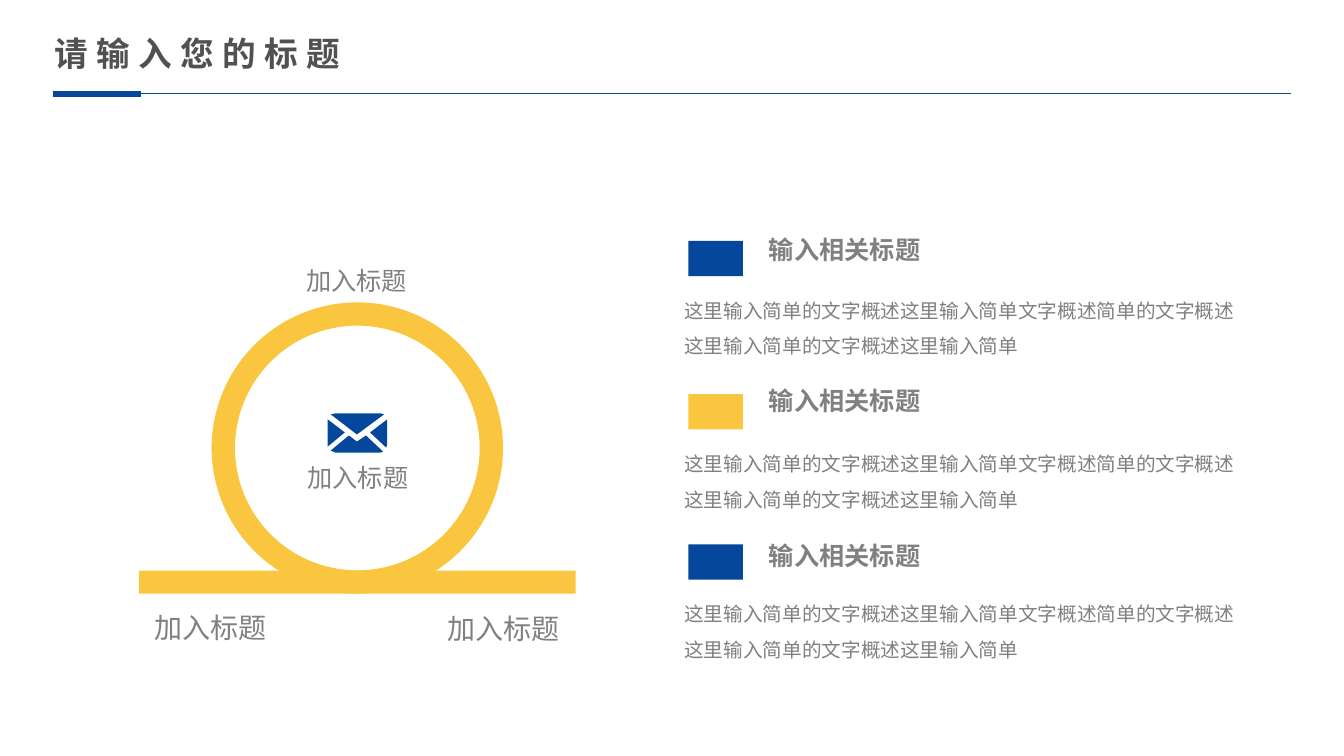
import pptx
import pptx.util
import pptx.dml.color
import pptx.enum.shapes
import pptx.enum.text
import pptx.oxml.ns
from lxml import etree

FONT = "Noto Sans CJK SC"
BLUE, GOLD, GREY, DARK = "05489B", "FBC63F", "808080", "515151"
WIDE, HIGH = pptx.util.Inches(13.33), pptx.util.Inches(7.5)
KIND = pptx.enum.shapes.MSO_SHAPE
ALIGN = pptx.enum.text.PP_ALIGN
ANCHOR = pptx.enum.text.MSO_ANCHOR

LABEL = "加入标题"
HEAD = "输入相关标题"
BODY = "这里输入简单的文字概述这里输入简单文字概述简单的文字概述这里输入简单的文字概述这里输入简单"

# Swatch top, heading top, colour
ITEMS = [(31.87, 30.4, BLUE), (52.13, 50.27, GOLD), (72, 70.8, BLUE)]

# Left, top, width, height, text size
LABELS = [
    (10.35, 80.93, 10.65, 3.73, 20),
    (30.53, 80.4, 13.88, 4.93, 20),
    (21.22, 35.07, 10.65, 3.73, 18),
    (21.3, 61.07, 10.65, 3.73, 18),
]

# Envelope parts in hundredths of an inch: flap, right, base, left
MAIL = [
    [(3, 1), (8, 0), (52, 0), (56, 1), (29, 21)],
    [(59, 6), (42, 19), (58, 34), (59, 31)],
    [(55, 38), (52, 39), (8, 39), (3, 37), (21, 22), (29, 28), (38, 22)],
    [(0, 33), (17, 19), (0, 6)],
]


def across(share):
    """Turn a percentage of the slide's width into a length."""
    return round(WIDE * share / 100)


def down(share):
    """Turn a percentage of the slide's height into a length."""
    return round(HIGH * share / 100)


def place(left, top, width, height):
    return across(left), down(top), across(width), down(height)


def paint(color, code):
    color.rgb = pptx.dml.color.RGBColor.from_string(code)


def fill(shape, code):
    shape.shadow.inherit = False
    shape.fill.solid()
    paint(shape.fill.fore_color, code)
    shape.line.fill.background()


def block(slide, kind, spot, code):
    shape = slide.shapes.add_shape(kind, *place(*spot))
    fill(shape, code)
    return shape


def write(frame, text, size, code=GREY, bold=False):
    frame.text = text
    frame.word_wrap = True
    para = frame.paragraphs[0]
    run = para.runs[0]
    run.font.size = pptx.util.Pt(size)
    run.font.name = FONT
    run.font.bold = bold
    paint(run.font.color, code)
    props = run.font._element
    etree.SubElement(props, pptx.oxml.ns.qn("a:ea"), typeface=FONT)
    return para


def note(slide, spot, text, size, bold=False):
    box = slide.shapes.add_textbox(*place(*spot))
    return box.text_frame, write(box.text_frame, text, size, bold=bold)


def label(slide, spot, size):
    frame, para = note(slide, spot, LABEL, size)
    frame.margin_left = frame.margin_right = 0
    frame.margin_top = frame.margin_bottom = 0
    frame.vertical_anchor = ANCHOR.MIDDLE
    para.alignment = ALIGN.CENTER
    para.line_spacing = 1.1


def item(slide, top, head, code):
    """Draw a swatch with its heading and summary."""
    block(slide, KIND.RECTANGLE, (51.22, top, 4.05, 4.67), code)
    para = note(slide, (50.18, top + 5.47, 42.98, 10.27), BODY, 14)[1]
    para.line_spacing = 1.5
    note(slide, (56.48, head, 22.8, 5.33), HEAD, 18, bold=True)


def rule(slide, start, end, weight):
    line = slide.shapes.add_connector(
        pptx.enum.shapes.MSO_CONNECTOR.STRAIGHT,
        across(start), down(12.4), across(end), down(12.4))
    paint(line.line.color, BLUE)
    line.line.width = pptx.util.Pt(weight)
    etree.SubElement(line._element.spPr, pptx.oxml.ns.qn("a:effectLst"))


def title(slide, text):
    shape = slide.shapes.title
    shape.left, shape.top, shape.width, shape.height = place(3.3, 3.73, 26.25, 6.67)
    para = write(shape.text_frame, text, 24, DARK, bold=True)
    para.alignment = ALIGN.LEFT
    para.runs[0].font._element.set("spc", "600")
    shape.text_frame.vertical_anchor = ANCHOR.TOP
    shape.text_frame.auto_size = pptx.enum.text.MSO_AUTO_SIZE.NONE


def mail(slide):
    pen = slide.shapes.build_freeform(*MAIL[0][0], scale=pptx.util.Inches(0.01))
    for part in MAIL:
        pen.move_to(*part[0])
        pen.add_line_segments(part[1:], close=True)
    fill(pen.convert_to_shape(across(24.38), down(54.67)), BLUE)


def loop(slide):
    """Draw the ring standing on its bar."""
    block(slide, KIND.RECTANGLE, (10.35, 75.47, 32.48, 3.07), GOLD)
    ring = block(slide, KIND.DONUT, (15.75, 40, 21.68, 38.53), GOLD)
    ring.adjustments[0] = 0.08


def main():
    deck = pptx.Presentation()
    deck.slide_width, deck.slide_height = WIDE, HIGH
    slide = deck.slides.add_slide(deck.slide_layouts[5])
    title(slide, "请输入您的标题")
    rule(slide, 3.98, 10.5, 4.5)
    rule(slide, 10.5, 96.08, 0.5)
    loop(slide)
    mail(slide)
    for *spot, size in LABELS:
        label(slide, spot, size)
    for top, head, code in ITEMS:
        item(slide, top, head, code)
    deck.save("out.pptx")


if __name__ == "__main__":
    main()
